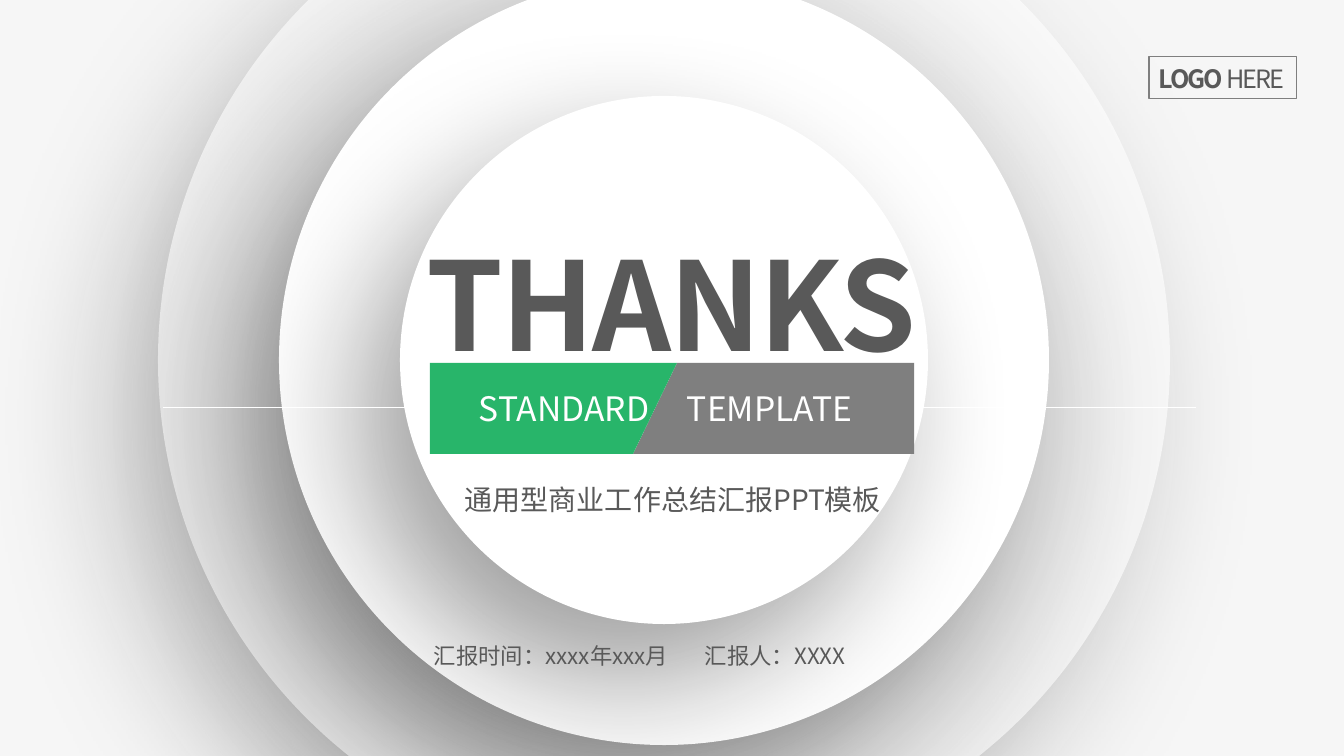
from lxml import etree
from pptx import Presentation
from pptx.dml.color import RGBColor
from pptx.enum.shapes import MSO_CONNECTOR, MSO_SHAPE
from pptx.enum.text import MSO_ANCHOR, MSO_AUTO_SIZE, PP_ALIGN
from pptx.oxml import parse_xml
from pptx.oxml.ns import nsdecls, qn
from pptx.util import Emu, Pt

EMU_PER_PX = 914400 / 100.8
FONT = "Noto Sans CJK SC"
WHITE = RGBColor(0xFF, 0xFF, 0xFF)
PAPER = RGBColor(0xF6, 0xF6, 0xF6)
GREEN = RGBColor(0x28, 0xB5, 0x6A)
GRAY = RGBColor(0x7F, 0x7F, 0x7F)
DARK = RGBColor(0x59, 0x59, 0x59)
CIRCLE = MSO_SHAPE.FLOWCHART_CONNECTOR
RECTANGLE = MSO_SHAPE.RECTANGLE
STRAIGHT = MSO_CONNECTOR.STRAIGHT
LEFT, CENTER, RIGHT = PP_ALIGN.LEFT, PP_ALIGN.CENTER, PP_ALIGN.RIGHT
TOP, BOTTOM = MSO_ANCHOR.TOP, MSO_ANCHOR.BOTTOM
NO_AUTO_SIZE = MSO_AUTO_SIZE.NONE


def px(length):
    return Emu(round(length * EMU_PER_PX))


class ClosingSlide:
    """Draws styled elements on a slide, with lengths in px."""

    def __init__(self, presentation):
        self.slide = presentation.slides.add_slide(presentation.slide_layouts[5])
        self.shapes = self.slide.shapes
        background = self.slide.background.fill
        background.solid()
        background.fore_color.rgb = PAPER

    def circle(self, center_x, center_y, radius, opacity=100):
        shape = self.shapes.add_shape(
            CIRCLE, px(center_x - radius), px(center_y - radius), px(2 * radius), px(2 * radius))
        shape.fill.solid()
        shape.fill.fore_color.rgb = WHITE
        shape.line.fill.background()
        properties = shape.element.spPr
        color = properties.find(f"{qn('a:solidFill')}/{qn('a:srgbClr')}")
        etree.SubElement(color, qn("a:alpha"), val=str(opacity * 1000))
        properties.append(parse_xml(
            f'<a:effectLst {nsdecls("a")}><a:outerShdw blurRad="{Pt(100)}" dist="{Pt(50)}" '
            'dir="7500000" algn="ctr" rotWithShape="0"><a:srgbClr val="0D0D0D">'
            '<a:alpha val="40000"/></a:srgbClr></a:outerShdw></a:effectLst>'))

    def line(self, left, right, y):
        line = self.shapes.add_connector(STRAIGHT, px(left), px(y), px(right), px(y))
        line.line.color.rgb = WHITE
        line.line.width = Pt(0.25)
        etree.SubElement(line.element.spPr, qn("a:effectLst"))

    def panel(self, points, color):
        builder = self.shapes.build_freeform(*points[0], scale=EMU_PER_PX)
        builder.add_line_segments(points[1:], close=True)
        shape = builder.convert_to_shape()
        shape.shadow.inherit = False
        shape.fill.solid()
        shape.fill.fore_color.rgb = color
        shape.line.fill.background()

    def fill_text(self, shape, runs, size, color=DARK, align=LEFT, anchor=TOP,
                  wrap=False, spacing=0, tab=None):
        text_frame = shape.text_frame
        text_frame.auto_size = NO_AUTO_SIZE
        text_frame.word_wrap = wrap
        text_frame.vertical_anchor = anchor
        paragraph = text_frame.paragraphs[0]
        paragraph.alignment = align
        if tab:
            tabs = etree.SubElement(paragraph._p.get_or_add_pPr(), qn("a:tabLst"))
            etree.SubElement(tabs, qn("a:tab"), pos=str(px(tab)), algn="l")
        for text, bold in runs:
            run = paragraph.add_run()
            run.text = text
            font = run.font
            font.name, font.size, font.bold = FONT, Pt(size), bold
            font.color.rgb = color
            properties = run._r.get_or_add_rPr()
            properties.set("spc", str(round(spacing * 100)))
            etree.SubElement(properties, qn("a:ea"), typeface=FONT)

    def title(self, box, text, size, **style):
        title = self.shapes.title
        title.left, title.top, title.width, title.height = map(px, box)
        title.element.getparent().append(title.element)
        self.fill_text(title, [(text, True)], size, **style)

    def text(self, box, text, size, **style):
        self.fill_text(self.shapes.add_textbox(*map(px, box)), [(text, False)], size, **style)

    def label(self, box, runs, size, **style):
        shape = self.shapes.add_shape(RECTANGLE, *map(px, box))
        shape.shadow.inherit = False
        shape.fill.background()
        shape.line.color.rgb = GRAY
        shape.line.width = Pt(0.75)
        self.fill_text(shape, runs, size, **style)


def main():
    presentation = Presentation()
    presentation.slide_width, presentation.slide_height = px(1344), px(756)
    closing = ClosingSlide(presentation)
    for radius, opacity in ((506, 63), (385, 100), (264, 100)):
        closing.circle(664, 360, radius, opacity)
    closing.line(163, 1196, 407)
    closing.panel([(677, 363), (914, 363), (914, 454), (633, 454)], GRAY)
    closing.panel([(430, 363), (677, 363), (633, 454), (430, 454)], GREEN)
    closing.title((311, 223, 721, 159), "THANKS", 88, align=CENTER, wrap=True, spacing=-1.5)
    closing.text((469, 383, 430, 50), "STANDARD\tTEMPLATE", 24, color=WHITE, tab=208)
    closing.text((453, 478, 438, 78), "通用型商业工作总结汇报PPT模板", 20, align=RIGHT, wrap=True)
    closing.label((1149, 57, 148, 42), [("LOGO", True), (" HERE", False)], 18,
                  anchor=BOTTOM, spacing=-1.5)
    closing.text((424, 637, 438, 37), "汇报时间：xxxx年xxx月\t汇报人：XXXX", 16, tab=271)
    presentation.save("out.pptx")


if __name__ == "__main__":
    main()
